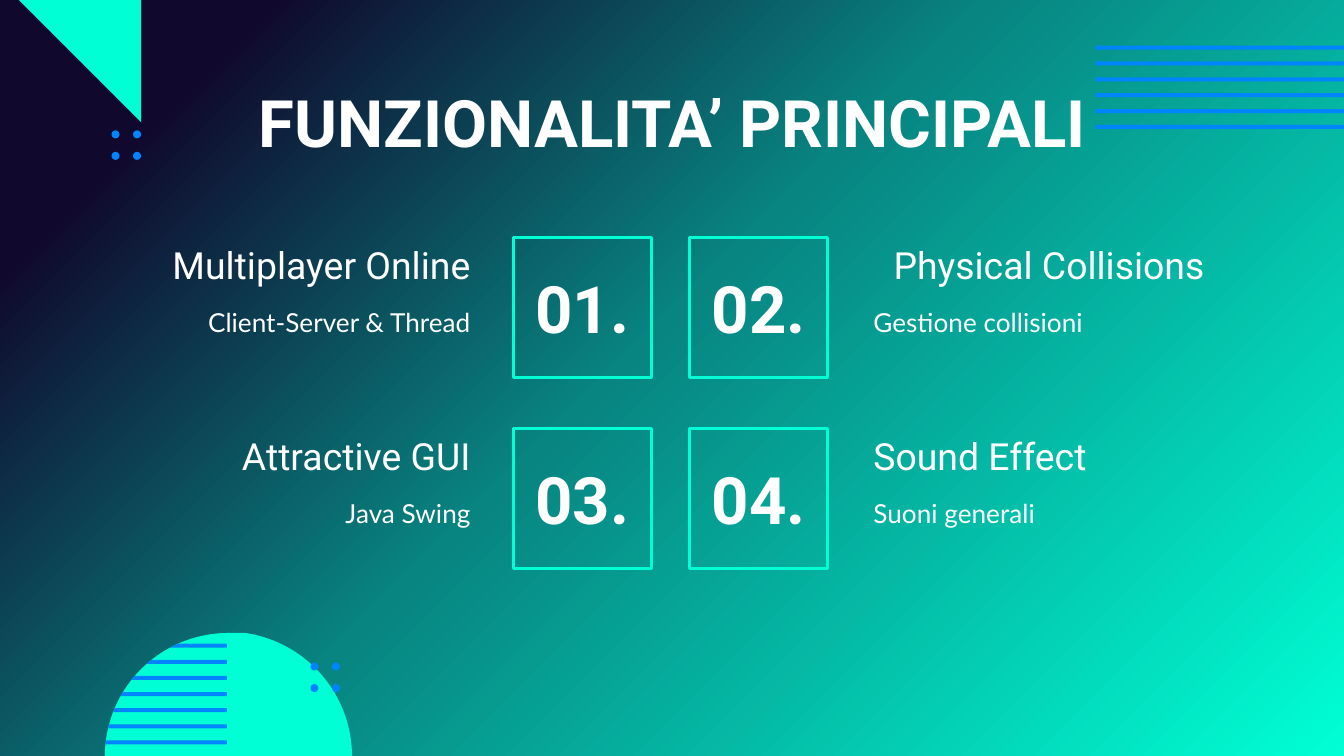
from math import sqrt

from lxml.etree import SubElement
from pptx import Presentation
from pptx.dml.color import RGBColor
from pptx.enum.shapes import MSO_SHAPE as Shape
from pptx.enum.text import MSO_ANCHOR as Anchor, PP_ALIGN as Align
from pptx.oxml.ns import qn
from pptx.util import Inches, Pt

WIDE = Inches(10)
HIGH = WIDE * 9 // 16
COLORS = {"night": "10092D", "teal": "088481", "mint": "00FFD5",
          "blue": "0084FF", "white": "FFFFFF"}
STOPS = [(0, "night"), (13, "night"), (47, "teal"), (100, "mint")]
BAR = 0.03
ITEMS = [
    ("01.", "Multiplayer Online", "Client-Server & Thread"),
    ("02.", "Physical Collisions", "Gestione collisioni"),
    ("03.", "Attractive GUI", "Java Swing"),
    ("04.", "Sound Effect", "Suoni generali"),
]


def color(name):
    return RGBColor.from_string(COLORS[name])


def paint(shape, name):
    """Give a flat fill with no line or shadow."""
    shape.shadow.inherit = False
    shape.fill.solid()
    shape.fill.fore_color.rgb = color(name)
    shape.line.fill.background()


def add_back(slide):
    fill = slide.background.fill
    fill.gradient()
    fill.gradient_angle = 315
    stops = slide.background._cSld.find(".//" + qn("a:gsLst"))
    for old in list(stops):
        stops.remove(old)
    for place, name in STOPS:
        stop = SubElement(stops, qn("a:gs"), pos=str(place * 1000))
        SubElement(stop, qn("a:srgbClr"), val=COLORS[name])


def add_poly(slide, points, name):
    points = [(Inches(x), Inches(y)) for x, y in points]
    build = slide.shapes.build_freeform(*points[0])
    build.add_line_segments(points[1:])
    paint(build.convert_to_shape(), name)


def add_preset(slide, kind, box, name):
    paint(slide.shapes.add_shape(kind, *map(Inches, box)), name)


def add_bars(slide, left, top, width, height, count=6):
    step = (height - BAR) / (count - 1)
    for i in range(count):
        add_preset(slide, Shape.RECTANGLE,
                   (left, top + i * step, width, BAR), "blue")


def add_dots(slide, left, top, size=0.06, step=0.16):
    for col in range(2):
        for row in range(2):
            box = (left + col * step, top + row * step, size, size)
            add_preset(slide, Shape.OVAL, box, "blue")


def add_slice(slide, mid, base, radius, top, end, side, name):
    """Draw the part of a half disc between two heights, on one side of mid."""
    count = 40 if end - top > BAR * 2 else 4
    rim = []
    for i in range(count + 1):
        # Squared steps put more points where the rim is flat
        y = top + (end - top) * (i / count) ** 2
        reach = sqrt(max(radius ** 2 - (base - y) ** 2, 0))
        rim.append((mid + side * reach, y))
    add_poly(slide, [(mid, top)] + rim + [(mid, end)], name)


def add_dome(slide, left, top, radius, count=7):
    mid, base = left + radius, top + radius
    add_slice(slide, mid, base, radius, top, base, -1, "mint")
    first, last = top + 0.08, base - 0.12
    for i in range(count):
        y = first + i * (last - first) / (count - 1)
        add_slice(slide, mid, base, radius, y, y + BAR, -1, "blue")
    # A slight overlap hides the seam between the halves
    add_slice(slide, mid - 0.01, base, radius + 0.01, top, base, 1, "mint")


def set_text(shape, text, size, font="Roboto", align=Align.LEFT,
             anchor=Anchor.MIDDLE, bold=False):
    frame = shape.text_frame
    frame.text = text
    frame.word_wrap = True
    frame.vertical_anchor = anchor
    frame.margin_left = frame.margin_right = Inches(0.1)
    frame.margin_top = frame.margin_bottom = Inches(0.1)
    para = frame.paragraphs[0]
    para.alignment = align
    face = para.runs[0].font
    face.name, face.size, face.bold = font, Pt(size), bold
    face.color.rgb = color("white")
    return para


def add_text(slide, box, text, size, **style):
    shape = slide.shapes.add_textbox(*map(Inches, box))
    return set_text(shape, text, size, **style)


def add_tile(slide, left, top, text):
    box = slide.shapes.add_shape(Shape.RECTANGLE, Inches(left), Inches(top),
                                 Inches(1.03), Inches(1.04))
    box.shadow.inherit = False
    box.fill.background()
    box.line.color.rgb = color("mint")
    box.line.width = Pt(1.5)
    set_text(box, text, 35, align=Align.CENTER, bold=True)


def add_items(slide, left, top):
    for i, (number, head, note) in enumerate(ITEMS):
        row, col = divmod(i, 2)
        x, y = left + col * 5.62, top + row * 1.42
        align = Align.LEFT if col else Align.RIGHT
        add_tile(slide, left + 3.04 + col * 1.31, y, number)
        para = add_text(slide, (x, y, 2.82, 0.4), head, 20, align=align)
        if number == "02.":
            props = para._p.get_or_add_pPr()
            props.set("marL", str(Inches(0.5)))
            props.set("indent", str(Inches(-0.35)))
        add_text(slide, (x, y + 0.41, 2.82, 0.63), note, 14, font="Lato",
                 align=align, anchor=Anchor.TOP)


def main():
    deck = Presentation()
    deck.slide_width, deck.slide_height = WIDE, HIGH
    slide = deck.slides.add_slide(deck.slide_layouts[6])
    add_back(slide)
    add_bars(slide, 8.15, 0.34, 2.56, 0.62)
    add_dome(slide, 0.78, 4.71, 0.92)
    add_poly(slide, [(0.14, 0), (1.05, 0.91), (1.05, 0)], "mint")
    add_dots(slide, 0.83, 0.97)
    add_dots(slide, 2.31, 4.93)
    add_text(slide, (0.79, 0.59, 8.43, 0.63), "FUNZIONALITA’ PRINCIPALI", 35,
             align=Align.CENTER, bold=True)
    add_items(slide, 0.78, 1.77)
    deck.save("out.pptx")


if __name__ == "__main__":
    main()
